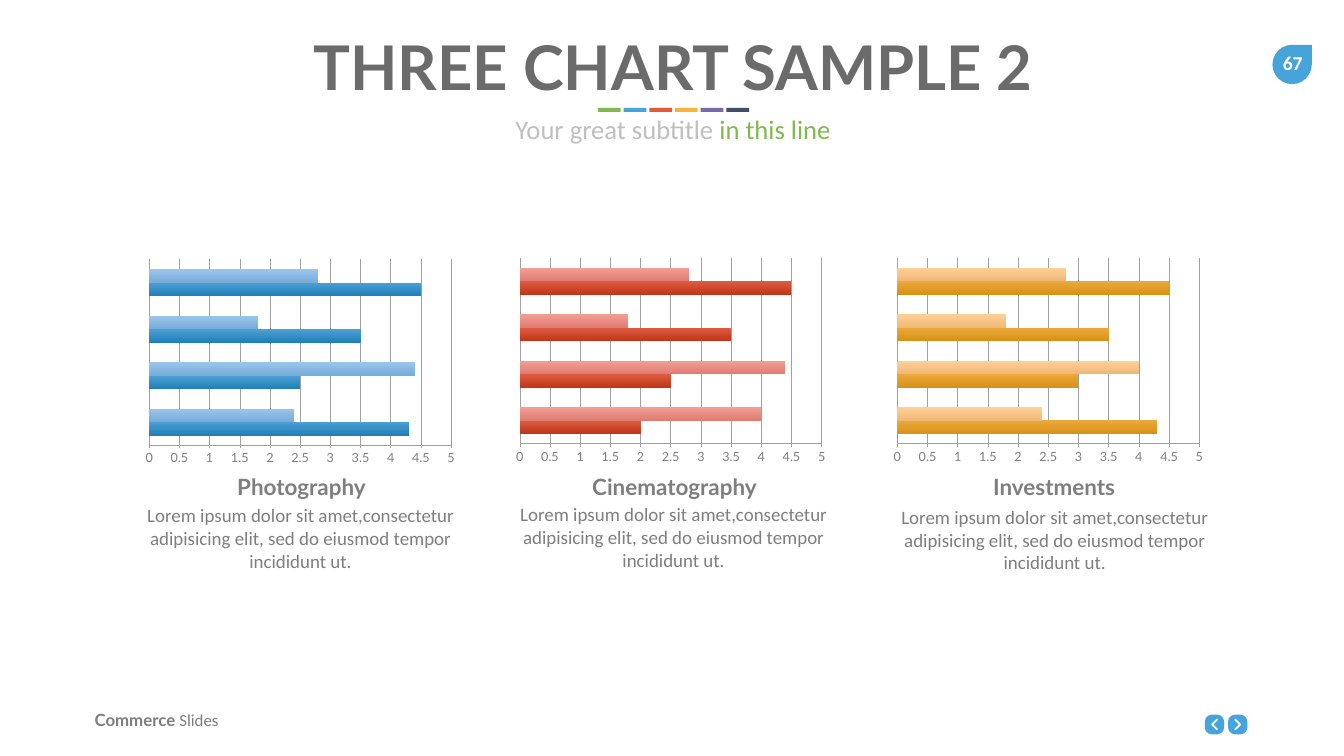
import pptx
import pptx.chart.data
import pptx.dml.color
import pptx.enum.chart
import pptx.enum.shapes
import pptx.enum.text
import pptx.util
from lxml import etree

Pt = pptx.util.Pt
RGBColor = pptx.dml.color.RGBColor
Shape = pptx.enum.shapes.MSO_SHAPE
Align = pptx.enum.text.PP_ALIGN

WHITE = RGBColor(0xFF, 0xFF, 0xFF)
TITLE_GRAY = RGBColor(0x6B, 0x6B, 0x6B)
GRAY = RGBColor(0x7E, 0x7E, 0x7E)
LIGHT_GRAY = RGBColor(0xBF, 0xBF, 0xBF)
AXIS_GRAY = RGBColor(0xA0, 0xA0, 0xA0)
GREEN = RGBColor(0x81, 0xB9, 0x4F)
BLUE = RGBColor(0x46, 0xA4, 0xDB)
RED = RGBColor(0xE5, 0x58, 0x3A)
YELLOW = RGBColor(0xF9, 0xB4, 0x39)
PURPLE = RGBColor(0x7C, 0x69, 0xA8)
NAVY = RGBColor(0x40, 0x4F, 0x64)

# Bar gradients as (top, bottom): first series, then second series
BLUE_BARS = ((RGBColor(0x4C, 0xA0, 0xD4), RGBColor(0x22, 0x80, 0xB8)),
             (RGBColor(0x9A, 0xC5, 0xEC), RGBColor(0x78, 0xAC, 0xDA)))
RED_BARS = ((RGBColor(0xDE, 0x5C, 0x42), RGBColor(0xC0, 0x36, 0x18)),
            (RGBColor(0xF3, 0x9E, 0x95), RGBColor(0xDF, 0x7C, 0x72)))
YELLOW_BARS = ((RGBColor(0xEA, 0xA9, 0x3A), RGBColor(0xD8, 0x92, 0x18)),
               (RGBColor(0xFF, 0xD0, 0x96), RGBColor(0xF0, 0xB8, 0x78)))

LOREM = ("Lorem ipsum dolor sit amet,consectetur adipisicing elit, "
         "sed do eiusmod tempor incididunt ut.")


class SlideBuilder:
    heading_font = "Lato"
    body_font = "Calibri"

    def __init__(self, slide):
        self.slide = slide

    def shape(self, kind, left, top, width, height, color):
        shape = self.slide.shapes.add_shape(
            kind, Pt(left), Pt(top), Pt(width), Pt(height))
        shape.shadow.inherit = False
        shape.fill.solid()
        shape.fill.fore_color.rgb = color
        shape.line.fill.background()
        return shape

    def text(self, left, top, width, height, runs, size, font=body_font,
             align=Align.CENTER, insets=(7.2, 3.6, 7.2, 3.6), wrap=True):
        """Each run is (text, color, bold) or (text, color, bold, font)."""
        box = self.slide.shapes.add_textbox(
            Pt(left), Pt(top), Pt(width), Pt(height))
        frame = box.text_frame
        frame.word_wrap = wrap
        (frame.margin_left, frame.margin_top,
         frame.margin_right, frame.margin_bottom) = map(Pt, insets)
        paragraph = frame.paragraphs[0]
        paragraph.alignment = align
        paragraph.font.size = Pt(size)
        paragraph.font.name = font
        for words, color, bold, *run_font in runs:
            run = paragraph.add_run()
            run.text = words
            run.font.color.rgb = color
            run.font.bold = bold
            if run_font:
                run.font.name = run_font[0]

    def arrow_button(self, left, top, direction):
        """Direction is -1 for back and 1 for forward."""
        width, height = 27.5, 28
        button = self.shape(Shape.ROUNDED_RECTANGLE, left, top, width, height, BLUE)
        button.adjustments[0] = 0.35
        center, middle = left + width / 2, top + height / 2
        reach = 3.5 * direction
        builder = self.slide.shapes.build_freeform(
            Pt(center - reach), Pt(middle - 7), scale=1.0)
        builder.add_line_segments(
            [(Pt(center + reach), Pt(middle)),
             (Pt(center - reach), Pt(middle + 7))], close=False)
        chevron = builder.convert_to_shape()
        chevron.shadow.inherit = False
        chevron.fill.background()
        chevron.line.color.rgb = WHITE
        chevron.line.width = Pt(2.5)
        line = chevron.line.fill._xPr
        line.set("cap", "rnd")
        etree.SubElement(line, pptx.oxml.ns.qn("a:round"))

    def bar_chart(self, left, top, width, height, series_values, gradients):
        data = pptx.chart.data.CategoryChartData()
        data.categories = ["1", "2", "3", "4"]
        for number, values in enumerate(series_values, 1):
            data.add_series(f"Series {number}", values)
        chart = self.slide.shapes.add_chart(
            pptx.enum.chart.XL_CHART_TYPE.BAR_CLUSTERED,
            Pt(left), Pt(top), Pt(width), Pt(height), data).chart
        chart.has_legend = False
        chart.has_title = False
        chart.font.size = Pt(18)
        chart.font.name = self.heading_font
        chart.font.color.rgb = GRAY

        chart.category_axis.visible = False
        axis = chart.value_axis
        axis.minimum_scale, axis.maximum_scale, axis.major_unit = 0, 5, 0.5
        axis.major_tick_mark = pptx.enum.chart.XL_TICK_MARK.OUTSIDE
        axis.tick_labels.number_format = "General"
        axis.tick_labels.number_format_is_linked = False
        axis.has_major_gridlines = True
        for line in (axis.format.line, axis.major_gridlines.format.line):
            line.color.rgb = AXIS_GRAY
            line.width = Pt(0.75)

        plot = chart.plots[0]
        plot.gap_width = 150
        plot.overlap = 0
        plot.vary_by_categories = False
        for series, colors in zip(plot.series, gradients):
            fill = series.format.fill
            fill.gradient()
            fill.gradient_angle = 270
            for stop, color in zip(fill.gradient_stops, colors):
                stop.color.rgb = color


def main():
    presentation = pptx.Presentation()
    presentation.slide_width = Pt(1919.5)
    presentation.slide_height = Pt(1080)
    builder = SlideBuilder(
        presentation.slides.add_slide(presentation.slide_layouts[6]))

    # Navigation, page number and footer
    builder.arrow_button(1720.8, 1021, -1)
    builder.arrow_button(1754, 1021, 1)
    builder.shape(Shape.TEAR, 1817.3, 64, 56.2, 56.2, BLUE)
    builder.text(1815, 65, 62.6, 48, [("67", WHITE, True)], 28,
                 insets=(14.4, 7.2, 14.4, 7.2), wrap=False)
    builder.text(128, 1011, 288, 36,
                 [("Commerce ", GRAY, True, builder.heading_font),
                  ("Slides", GRAY, False)], 24, align=Align.LEFT)

    # Title, colour strip and subtitle
    builder.text(136.8, 38, 1648.8, 114,
                 [("THREE CHART SAMPLE 2", TITLE_GRAY, True)], 88,
                 builder.heading_font)
    for index, color in enumerate((GREEN, BLUE, RED, YELLOW, PURPLE, NAVY)):
        builder.shape(Shape.RECTANGLE, 854 + 36.7 * index, 154, 32.4, 5.8, color)
    builder.text(136.8, 158.4, 1648.8, 53.3,
                 [("Your great subtitle ", LIGHT_GRAY, False),
                  ("in this line", GREEN, False)], 38)

    # Charts with captions: name, chart left and top, heading left,
    # description left and top, bar gradients, values
    columns = (
        ("Photography", 198.7, 364.3, 171.4, 207.4, 716.4, BLUE_BARS,
         ((4.3, 2.5, 3.5, 4.5), (2.4, 4.4, 1.8, 2.8))),
        ("Cinematography", 728, 362.2, 704.2, 740.2, 715, RED_BARS,
         ((2, 2.5, 3.5, 4.5), (4, 4.4, 1.8, 2.8))),
        ("Investments", 1267.2, 362.2, 1246.3, 1284.5, 718.6, YELLOW_BARS,
         ((4.3, 3, 3.5, 4.5), (2.4, 4, 1.8, 2.8))),
    )
    caption_insets = (0, 3.6, 0, 0)
    for (name, chart_left, chart_top, heading_left, body_left, body_top,
         gradients, values) in columns:
        builder.bar_chart(chart_left, chart_top, 460, 306.7, values, gradients)
        builder.text(heading_left, 671.8, 518.4, 42.5, [(name, GRAY, True)], 32,
                     builder.heading_font, insets=caption_insets)
        builder.text(body_left, body_top, 443.5, 101.5, [(LOREM, GRAY, False)],
                     27, insets=caption_insets)

    presentation.save("out.pptx")


if __name__ == "__main__":
    main()
